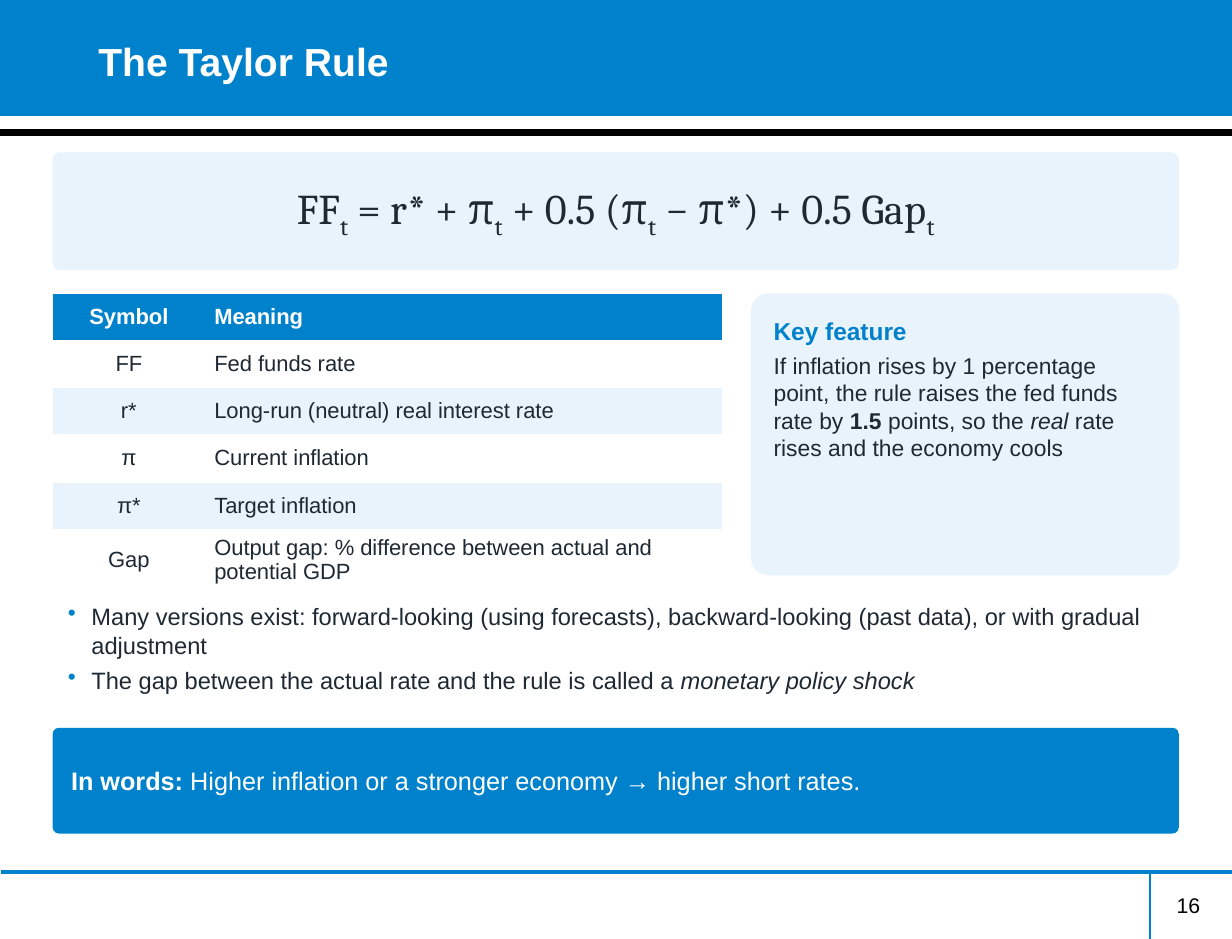
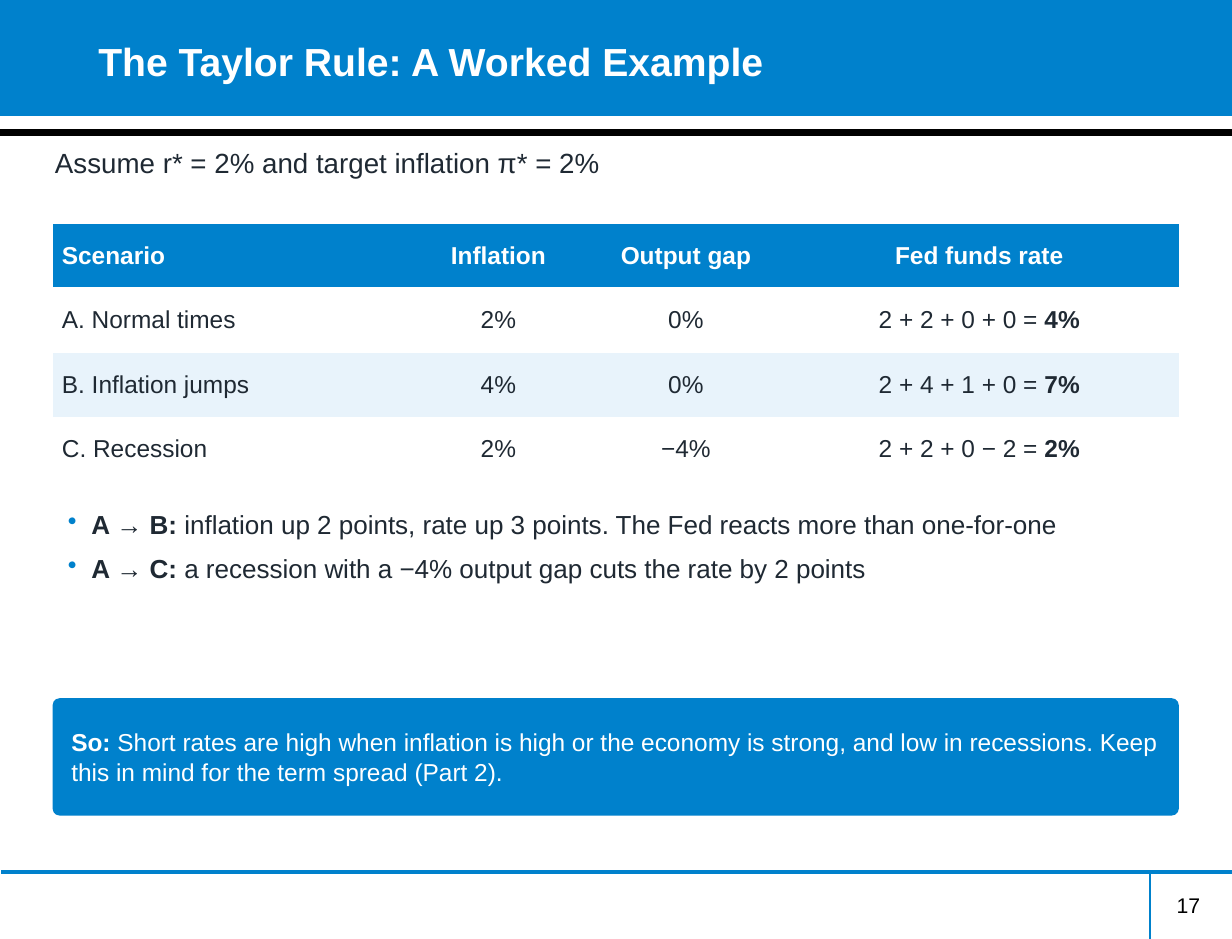
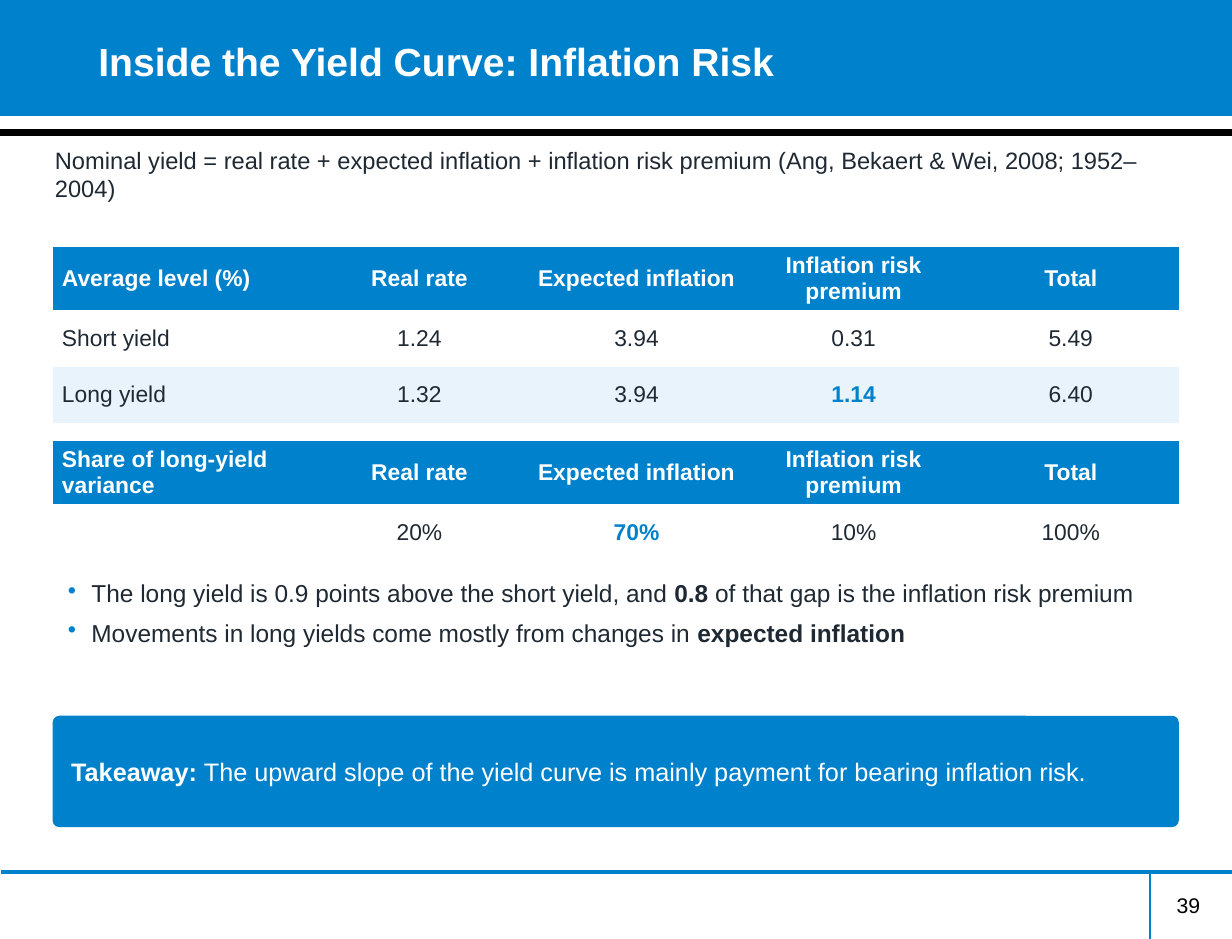
from lxml import etree
from pptx import Presentation
from pptx.dml.color import RGBColor
from pptx.enum.shapes import MSO_CONNECTOR, MSO_SHAPE
from pptx.enum.text import MSO_ANCHOR, PP_ALIGN
from pptx.oxml import parse_xml
from pptx.oxml.ns import nsdecls, qn
from pptx.util import Cm, Pt

BLUE = RGBColor(0x00, 0x81, 0xCC)
PALE = RGBColor(0xE8, 0xF3, 0xFB)
INK = RGBColor(0x1F, 0x29, 0x33)
WHITE = RGBColor(0xFF, 0xFF, 0xFF)
BLACK = RGBColor(0, 0, 0)

NO_TABLE_STYLE = "{2D5ABB26-0587-4C30-8999-92F81FD0307C}"
ALIGN = {"l": PP_ALIGN.LEFT, "c": PP_ALIGN.CENTER, "r": PP_ALIGN.RIGHT}

# Page grid, in cm
PAGE_W, PAGE_H = 26.67, 20.32
LEFT, WIDTH = 1.14, 24.38
FOOT_Y, FOOT_X = 18.87, 24.89


class Deck:
    """Holds the style and the current slide.

    A paragraph is a string or a list of runs; a run is a string or a pair
    (text, marks) with marks b bold, i italic, s subscript, a blue accent.
    """

    def __init__(self):
        self.prs = Presentation()
        self.prs.slide_width, self.prs.slide_height = Cm(PAGE_W), Cm(PAGE_H)
        self.s = None

    def slide(self, title, number):
        self.s = self.prs.slides.add_slide(self.prs.slide_layouts[6])
        # Title band and rules
        self.box(MSO_SHAPE.RECTANGLE, 0, 0, PAGE_W, 2.51, BLUE)
        self.line(0, 2.87, PAGE_W, 2.87, BLACK, 4)
        self.line(0.03, FOOT_Y, PAGE_W + 0.03, FOOT_Y, BLUE, 2)
        self.line(FOOT_X, FOOT_Y, FOOT_X, PAGE_H, BLUE, 1)
        # Title and page number
        self.text(1.85, -0.38, 24, 3.38, [[(title, "b")]], 24, color=WHITE,
                  inset=(0.28, 0.13), anchor=MSO_ANCHOR.MIDDLE)
        self.text(20.04, 19.18, 6.22, 1.42, [str(number)], 13, color=BLACK,
                  inset=(0.28, 0.13), align="r")

    def line(self, x1, y1, x2, y2, color, width):
        c = self.s.shapes.add_connector(MSO_CONNECTOR.STRAIGHT,
                                        Cm(x1), Cm(y1), Cm(x2), Cm(y2))
        c.line.color.rgb = color
        c.line.width = Pt(width)
        etree.SubElement(c._element.spPr, qn("a:effectLst"))

    def box(self, kind, x, y, w, h, fill):
        sp = self.s.shapes.add_shape(kind, Cm(x), Cm(y), Cm(w), Cm(h))
        sp.shadow.inherit = False
        sp.fill.solid()
        sp.fill.fore_color.rgb = fill
        sp.line.fill.background()
        return sp

    def panel(self, x, y, w, h, fill, paras, size, **style):
        sp = self.box(MSO_SHAPE.ROUNDED_RECTANGLE, x, y, w, h, fill)
        sp.adjustments[0] = 0.06
        self.fill_text(sp.text_frame, paras, size, after=4, **style)
        return sp

    def message(self, y, h, lead, body, size):
        self.panel(LEFT, y, WIDTH, h, BLUE, [[(lead, "b"), body]], size,
                   color=WHITE, inset=(0.36, 0.36), anchor=MSO_ANCHOR.MIDDLE)

    def text(self, x, y, w, h, paras, size, **style):
        sp = self.s.shapes.add_textbox(Cm(x), Cm(y), Cm(w), Cm(h))
        self.fill_text(sp.text_frame, paras, size, **style)

    def intro(self, h, words, size):
        self.text(LEFT, 3.1, WIDTH, h, [words], size, inset=(0.05, 0.05), after=4)

    def bullets(self, y, h, paras, size, after):
        self.text(LEFT, y, WIDTH, h, paras, size, after=after, bullet=True)

    def fill_text(self, tf, paras, size, inset=(0.2, 0.2),
                  anchor=MSO_ANCHOR.TOP, bullet=False, **style):
        tf.word_wrap = True
        tf.vertical_anchor = anchor
        tf.margin_left = tf.margin_right = Cm(inset[0])
        tf.margin_top = tf.margin_bottom = Cm(inset[1])
        for i, runs in enumerate(paras):
            p = tf.add_paragraph() if i else tf.paragraphs[0]
            if bullet:
                self.add_bullet(p)
            self.fill_para(p, runs, size, **style)

    def add_bullet(self, p):
        pPr = p._p.get_or_add_pPr()
        pPr.set("marL", str(Cm(0.64)))
        pPr.set("indent", str(Cm(-0.51)))
        pPr.append(parse_xml(f'<a:buClr {nsdecls("a")}><a:srgbClr val="{BLUE}"/></a:buClr>'))
        pPr.append(parse_xml(f'<a:buChar {nsdecls("a")} char="•"/>'))

    def fill_para(self, p, runs, size, color=INK, font="Arial", align="l", after=0):
        p.alignment = ALIGN[align]
        p.space_after = Pt(after)
        for run in [runs] if isinstance(runs, str) else runs:
            words, marks = (run, "") if isinstance(run, str) else run
            r = p.add_run()
            r.text = words
            r.font.name, r.font.size = font, Pt(size)
            r.font.bold = "b" in marks or "a" in marks
            r.font.italic = "i" in marks
            r.font.color.rgb = BLUE if "a" in marks else color
            if "s" in marks:
                r.font._element.set("baseline", "-25000")

    def table(self, y, cols, row_h, aligns, rows, size):
        frame = self.s.shapes.add_table(len(rows), len(cols), Cm(LEFT), Cm(y),
                                        Cm(sum(cols)), Cm(row_h * len(rows)))
        table = frame.table
        table.horz_banding = table.first_row = False
        table._tbl.tblPr.find(qn("a:tableStyleId")).text = NO_TABLE_STYLE
        for col, w in zip(table.columns, cols):
            col.width = Cm(w)
        for i, row in enumerate(rows):
            table.rows[i].height = Cm(row_h)
            fill = BLUE if i == 0 else (WHITE if i % 2 else PALE)
            for j, value in enumerate(row):
                self.cell(table.cell(i, j), value, size, fill, aligns[j], header=i == 0)

    def cell(self, cell, value, size, fill, align, header):
        cell.fill.solid()
        cell.fill.fore_color.rgb = fill
        cell.vertical_anchor = MSO_ANCHOR.MIDDLE
        cell.margin_left = cell.margin_right = Cm(0.2)
        cell.margin_top = cell.margin_bottom = Cm(0.1)
        for i, edge in enumerate(("lnT", "lnB")):
            cell._tc.tcPr.insert(i, parse_xml(
                f'<a:{edge} {nsdecls("a")} w="{Pt(0.5)}"><a:solidFill>'
                f'<a:srgbClr val="{WHITE}"/></a:solidFill></a:{edge}>'))
        if value:
            self.fill_para(cell.text_frame.paragraphs[0],
                           [(value, "b")] if header else value, size,
                           color=WHITE if header else INK, align=align)


def taylor_rule(deck):
    deck.slide("The Taylor Rule", 16)
    t = ("t", "s")
    deck.panel(LEFT, 3.3, WIDTH, 2.54, PALE,
               [["FF", t, " = r* + π", t, " + 0.5 (π", t, " − π*) + 0.5 Gap", t]],
               26, font="Cambria", align="c", anchor=MSO_ANCHOR.MIDDLE)
    deck.table(6.35, [3.3, 11.18], 1.02, "cl", [
        ["Symbol", "Meaning"],
        ["FF", "Fed funds rate"],
        ["r*", "Long-run (neutral) real interest rate"],
        ["π", "Current inflation"],
        ["π*", "Target inflation"],
        ["Gap", "Output gap: % difference between actual and potential GDP"],
    ], 13.5)
    key = deck.panel(16.26, 6.35, 9.27, 6.1, PALE, [
        [("Key feature", "a")],
        ["If inflation rises by 1 percentage point, the rule raises the fed funds rate by ",
         ("1.5", "b"), " points, so the ", ("real", "i"), " rate rises and the economy cools"],
    ], 14, inset=(0.38, 0.38))
    key.text_frame.paragraphs[0].runs[0].font.size = Pt(15)
    deck.bullets(12.83, 2.54, [
        "Many versions exist: forward-looking (using forecasts), backward-looking "
        "(past data), or with gradual adjustment",
        ["The gap between the actual rate and the rule is called a ",
         ("monetary policy shock", "i")],
    ], 14.5, after=4)
    deck.message(15.75, 2.29, "In words: ",
                 "Higher inflation or a stronger economy → higher short rates.", 15.5)


def worked_example(deck):
    deck.slide("The Taylor Rule: A Worked Example", 17)
    deck.intro(1.27, "Assume r* = 2% and target inflation π* = 2%", 17)
    deck.table(4.83, [7.62, 4.06, 4.06, 8.64], 1.4, "lccc", [
        ["Scenario", "Inflation", "Output gap", "Fed funds rate"],
        ["A. Normal times", "2%", "0%", ["2 + 2 + 0 + 0 = ", ("4%", "b")]],
        ["B. Inflation jumps", "4%", "0%", ["2 + 4 + 1 + 0 = ", ("7%", "b")]],
        ["C. Recession", "2%", "−4%", ["2 + 2 + 0 − 2 = ", ("2%", "b")]],
    ], 15)
    deck.bullets(10.8, 3.94, [
        [("A → B:", "b"),
         " inflation up 2 points, rate up 3 points. The Fed reacts more than one-for-one"],
        [("A → C:", "b"), " a recession with a −4% output gap cuts the rate by 2 points"],
    ], 16, after=8)
    deck.message(15.11, 2.54, "So: ",
                 "Short rates are high when inflation is high or the economy is strong, and low "
                 "in recessions. Keep this in mind for the term spread (Part 2).", 15)


def inflation_risk(deck):
    deck.slide("Inside the Yield Curve: Inflation Risk", 39)
    deck.intro(1.9, "Nominal yield = real rate + expected inflation + inflation risk premium "
               "(Ang, Bekaert & Wei, 2008; 1952–2004)", 14.5)
    parts = ["Real rate", "Expected inflation", "Inflation risk premium", "Total"]
    cols = [5.59] + [4.7] * len(parts)
    deck.table(5.33, cols, 1.22, "lcccc", [
        ["Average level (%)"] + parts,
        ["Short yield", "1.24", "3.94", "0.31", "5.49"],
        ["Long yield", "1.32", "3.94", [("1.14", "a")], "6.40"],
    ], 14)
    deck.table(9.53, cols, 1.22, "lcccc", [
        ["Share of long-yield variance"] + parts,
        ["", "20%", [("70%", "a")], "10%", "100%"],
    ], 14)
    deck.bullets(12.32, 2.79, [
        ["The long yield is 0.9 points above the short yield, and ", ("0.8", "b"),
         " of that gap is the inflation risk premium"],
        ["Movements in long yields come mostly from changes in ", ("expected inflation", "b")],
    ], 15, after=6)
    deck.message(15.49, 2.41, "Takeaway: ",
                 "The upward slope of the yield curve is mainly payment for bearing "
                 "inflation risk.", 15.5)


def main():
    deck = Deck()
    taylor_rule(deck)
    worked_example(deck)
    inflation_risk(deck)
    deck.prs.save("out.pptx")


if __name__ == "__main__":
    main()
